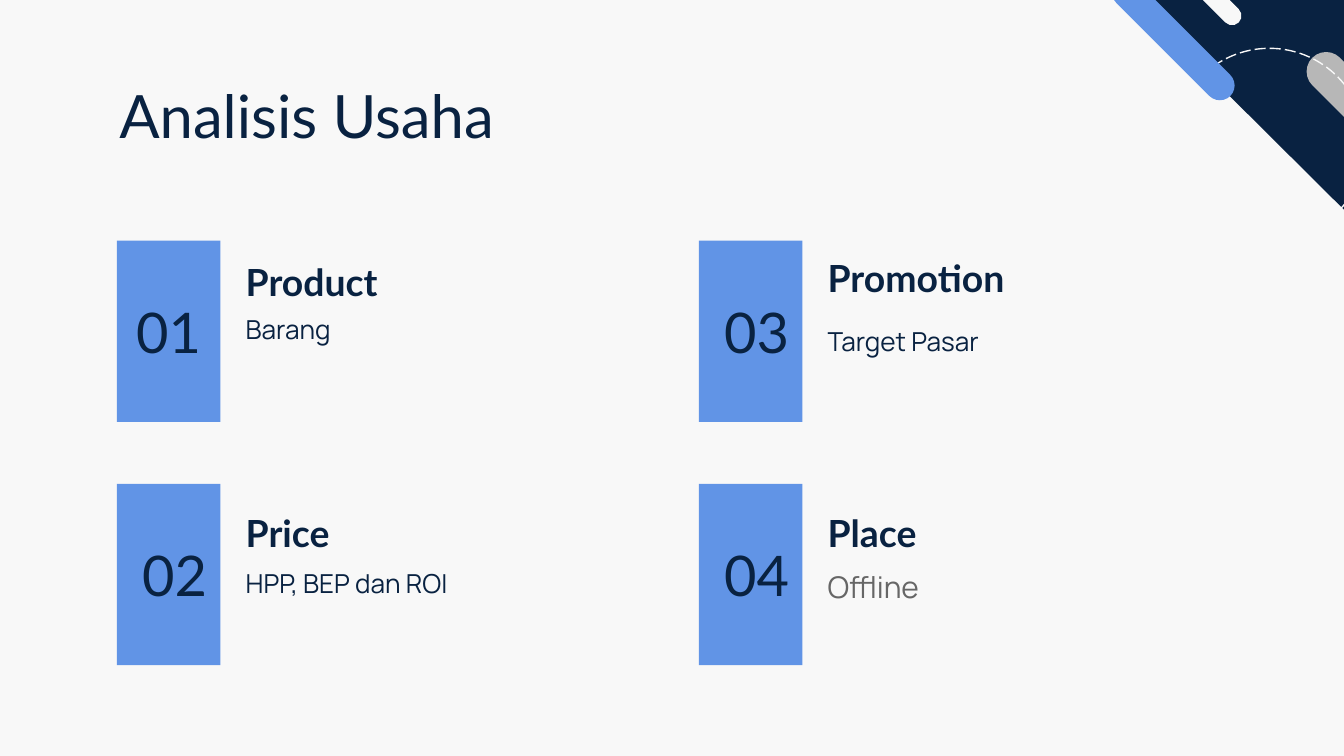
from pptx import Presentation
from pptx.dml.color import RGBColor
from pptx.enum.dml import MSO_LINE
from pptx.enum.shapes import MSO_SHAPE as SHAPE
from pptx.enum.text import MSO_ANCHOR as ANCHOR, PP_ALIGN as ALIGN
from pptx.util import Inches, Pt

NAVY = RGBColor(0x09, 0x22, 0x41)
BLUE = RGBColor(0x61, 0x94, 0xE6)
SILVER = RGBColor(0xB7, 0xB7, 0xB7)
GRAY = RGBColor(0x66, 0x66, 0x66)
PAPER = RGBColor(0xF8, 0xF8, 0xF8)

# Content
TITLE = "Analisis Usaha"
# number, its alignment, heading, heading top, detail, detail top, size, colour
TOPICS = [
    ("01", ALIGN.CENTER, "Product", 1.56, "Barang", 2.2, 14, NAVY),
    ("02", ALIGN.RIGHT, "Price", 3.43, "HPP, BEP dan ROI", 4.09, 14, NAVY),
    ("03", ALIGN.RIGHT, "Promotion", 1.53, "Target Pasar", 2.29, 14, NAVY),
    ("04", ALIGN.RIGHT, "Place", 3.43, "Offline", 4.09, 16, GRAY),
]
# Corner decoration, back to front: preset, box, rotation, fill (None: dashed)
CORNER = [
    (SHAPE.RIGHT_TRIANGLE, (8.37, -0.06, 1.7, 1.69), 180, NAVY),
    (SHAPE.ROUNDED_RECTANGLE, (9.58, 0.73, 1.26, 0.29), 45, SILVER),
    (SHAPE.OVAL, (8.73, 0.36, 1.43, 1.43), 0, None),
    (SHAPE.ROUNDED_RECTANGLE, (8.13, 0.18, 1.2, 0.22), 45, BLUE),
    (SHAPE.ROUNDED_RECTANGLE, (8.5, -0.2, 0.84, 0.14), 45, PAPER),
]

# Grid: topics run down each column
LEFT, TOP = 0.87, 1.79
COLUMN_STEP, ROW_STEP = 4.33, 1.81
TILE_W, TILE_H = 0.77, 1.35
TEXT_OFFSET, TEXT_W = 0.86, 2.53

# Widescreen 16:9 slide
prs = Presentation()
prs.slide_width = Inches(10)
prs.slide_height = Inches(10 * 9 / 16)
slide = prs.slides.add_slide(prs.slide_layouts[6])
slide.background.fill.solid()
slide.background.fill.fore_color.rgb = PAPER


def add_plain(preset, box, fill=None, rotation=0):
    shape = slide.shapes.add_shape(preset, *map(Inches, box))
    shape.shadow.inherit = False
    shape.rotation = rotation
    shape.line.fill.background()
    if fill is None:
        shape.fill.background()
    else:
        shape.fill.solid()
        shape.fill.fore_color.rgb = fill
    return shape


def add_text(text, box, size, fill=None, font="Lato", color=NAVY, bold=False,
             align=ALIGN.LEFT, anchor=ANCHOR.TOP, spacing=1.0):
    if fill is None:
        holder = slide.shapes.add_textbox(*map(Inches, box))
    else:
        holder = add_plain(SHAPE.RECTANGLE, box, fill)
    frame = holder.text_frame
    frame.word_wrap = True
    frame.vertical_anchor = anchor
    frame.margin_left = frame.margin_right = Inches(0.1)
    frame.margin_top = frame.margin_bottom = Inches(0.1)
    paragraph = frame.paragraphs[0]
    paragraph.alignment = align
    paragraph.line_spacing = spacing
    run = paragraph.add_run()
    run.text = text
    run.font.name, run.font.size, run.font.bold = font, Pt(size), bold
    run.font.color.rgb = color


# Corner decoration
for preset, box, rotation, fill in CORNER:
    ornament = add_plain(preset, box, fill, rotation)
    if preset == SHAPE.ROUNDED_RECTANGLE:
        ornament.adjustments[0] = 0.5
    if fill is None:
        ornament.line.color.rgb = PAPER
        ornament.line.width = Pt(0.75)
        ornament.line.dash_style = MSO_LINE.LONG_DASH

# Title
add_text(TITLE, (0.79, 0.49, 8.43, 0.63), 32)

# Numbered topics
for i, topic in enumerate(TOPICS):
    number, align, heading, heading_top, detail, detail_top, size, color = topic
    column, row = divmod(i, 2)
    x, y = LEFT + column * COLUMN_STEP, TOP + row * ROW_STEP
    text_x = x + TEXT_OFFSET
    add_text(number, (x, y, TILE_W, TILE_H), 30, fill=BLUE, align=align,
             anchor=ANCHOR.MIDDLE)
    add_text(heading, (text_x, heading_top, TEXT_W, 0.8), 20, bold=True,
             anchor=ANCHOR.BOTTOM)
    add_text(detail, (text_x, detail_top, TEXT_W, 0.63), size, font="Manrope",
             color=color, spacing=1.15)

prs.save("out.pptx")
